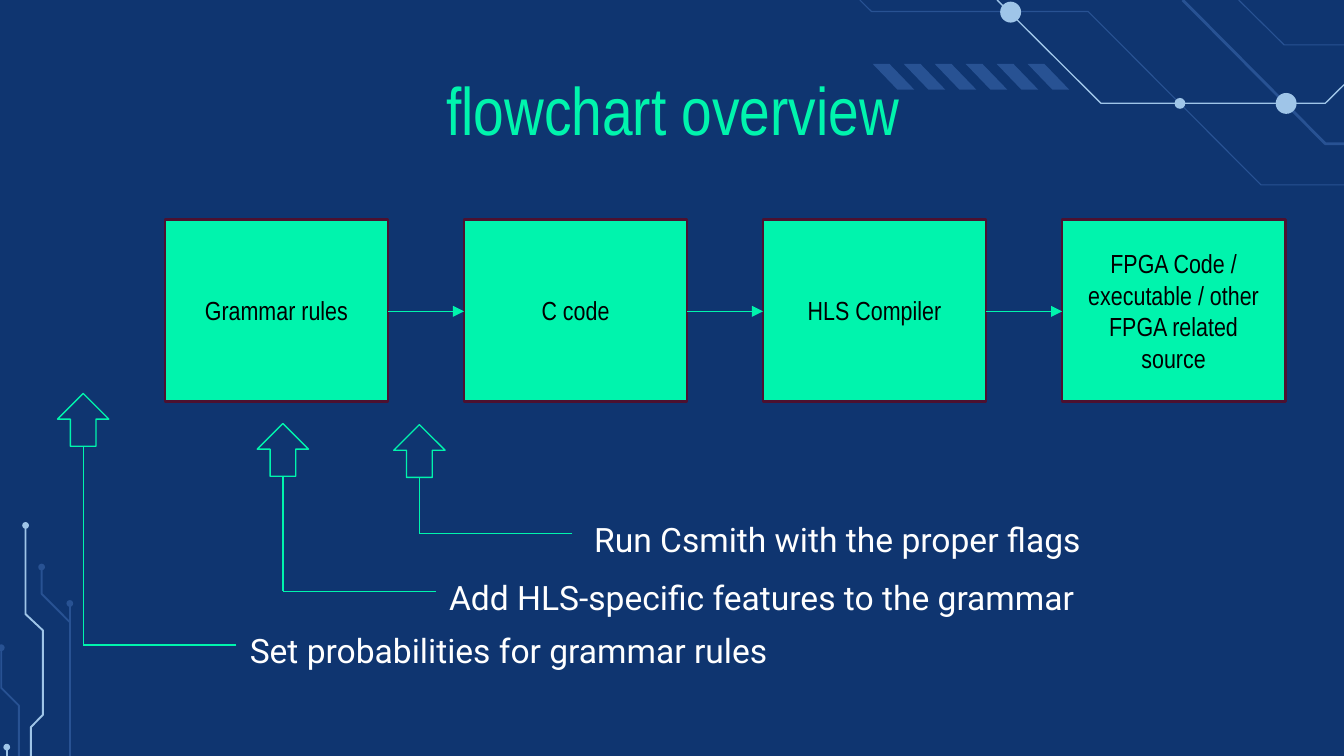
from lxml import etree
from pptx import Presentation
from pptx.dml.color import RGBColor
from pptx.enum.shapes import MSO_CONNECTOR, MSO_SHAPE
from pptx.enum.text import MSO_ANCHOR, MSO_AUTO_SIZE, PP_ALIGN
from pptx.oxml.ns import qn
from pptx.util import Pt

STRAIGHT = MSO_CONNECTOR.STRAIGHT
RECTANGLE, OVAL, UP_ARROW = MSO_SHAPE.RECTANGLE, MSO_SHAPE.OVAL, MSO_SHAPE.UP_ARROW
TOP, MIDDLE = MSO_ANCHOR.TOP, MSO_ANCHOR.MIDDLE
LEFT, CENTER = PP_ALIGN.LEFT, PP_ALIGN.CENTER
NO_AUTOFIT = MSO_AUTO_SIZE.NONE

COLORS = {
    "navy": "0F3570", "mint": "00F4AD", "wine": "4C1130", "black": "000000",
    "white": "FFFFFF", "sky": "9FC5E8", "steel": "285293",
}
HEADING_FONT, NOTE_FONT = "Arial Narrow", "Roboto"

TITLE = "flowchart overview"
STEPS = [
    "Grammar rules",
    "C code",
    "HLS Compiler",
    "FPGA Code / executable / other FPGA related source",
]
NOTES = [
    {"text": "Set probabilities for grammar rules", "arrow": (44.6, 210.8), "elbow": 345.6, "left": 126.7, "width": 329.8},
    {"text": "Add HLS-specific features to the grammar", "arrow": (151.6, 226.9), "elbow": 316.8, "left": 233.5, "width": 380.9},
    {"text": "Run Csmith with the proper flags", "arrow": (224.7, 227.5), "elbow": 285.8, "left": 311.2, "width": 380.9},
]
TRACES = [
    ("steel", 1.5, [(633.6, 0), (710, 77), (720, 77)]),
    ("sky", 0.7, [(534.2, 0), (589.8, 55.3), (710, 55.3), (720, 45.4)]),
    ("steel", 0.6, [(460.6, 0), (466.9, 6.2), (583, 6.2), (675.5, 99), (720, 99)]),
    ("steel", 0.6, [(663.6, 0), (688, 24.1), (720, 24.1)]),
    ("sky", 1.03, [(16.6, 405), (16.6, 389.5), (23, 383), (23, 337.7), (13.7, 329), (13.7, 281.5)]),
    ("steel", 1.03, [(37.4, 405), (37.4, 323.3)]),
    ("steel", 1.03, [(37.4, 333.4), (22.3, 318.2), (22.3, 303.8)]),
    ("steel", 1.03, [(10.1, 405), (10.1, 378), (0.7, 368.6), (0.7, 347)]),
    ("sky", 1.03, [(3.6, 405), (3.6, 400.3)]),
]
DOTS = [
    ("sky", 632.1, 55.4, 2.9), ("sky", 541.4, 6.5, 5.6), ("sky", 689, 55.4, 5.6),
    ("sky", 13.7, 281.5, 1.8), ("steel", 37.4, 323.3, 1.8), ("steel", 22.3, 303.8, 1.8),
    ("steel", 0.7, 347, 1.8), ("sky", 3.6, 400.3, 1.8),
]
STRIPE_COUNT, STRIPE_LEFT, STRIPE_STEP = 6, 467.5, 16.6
STRIPE_TOP, STRIPE_HEIGHT, STRIPE_WIDTH, STRIPE_SLANT = 34.2, 13.8, 9, 13.3

BOX_LEFT, BOX_TOP, BOX_WIDTH, BOX_HEIGHT, BOX_STEP = 88.4, 117.4, 119.5, 97.9, 160.2
FLOW_Y = 166.8
ARROW_WIDTH, ARROW_HEIGHT, ELBOW_RUN = 27.5, 28.3, 82
NOTE_HEIGHT, NOTE_RISE = 36, 18.3


def rgb(name):
    return RGBColor.from_string(COLORS[name])


def style(shape, fill=None, line=None, weight=0.75):
    shape.shadow.inherit = False
    if fill:
        shape.fill.solid()
        shape.fill.fore_color.rgb = rgb(fill)
    else:
        shape.fill.background()
    if line:
        shape.line.color.rgb = rgb(line)
        shape.line.width = Pt(weight)
    else:
        shape.line.fill.background()


def add_preset(slide, preset, left, top, width, height, **look):
    shape = slide.shapes.add_shape(preset, Pt(left), Pt(top), Pt(width), Pt(height))
    style(shape, **look)
    return shape


def add_outline(slide, points, closed=False, **look):
    start, *others = [(Pt(x), Pt(y)) for x, y in points]
    builder = slide.shapes.build_freeform(*start)
    builder.add_line_segments(others, close=closed)
    style(builder.convert_to_shape(), **look)


def add_line(slide, start, end, arrow=False):
    line = slide.shapes.add_connector(STRAIGHT, *[Pt(value) for value in start + end])
    line.line.color.rgb = rgb("mint")
    line.line.width = Pt(0.75)
    properties = line._element.spPr
    if arrow:
        etree.SubElement(properties.find(qn("a:ln")), qn("a:tailEnd"), type="triangle")
    etree.SubElement(properties, qn("a:effectLst"))


def write(shape, text, size=14, font=HEADING_FONT, color="black", align=CENTER,
          anchor=MIDDLE, inset=7.2, spacing=1.0):
    frame = shape.text_frame
    frame.word_wrap = True
    frame.auto_size = NO_AUTOFIT
    frame.vertical_anchor = anchor
    frame.margin_left = frame.margin_right = Pt(inset)
    frame.margin_top = frame.margin_bottom = Pt(inset)
    para = frame.paragraphs[0]
    para.alignment = align
    para.line_spacing = spacing
    span = para.add_run()
    span.text = text
    span.font.size = Pt(size)
    span.font.name = font
    span.font.color.rgb = rgb(color)


def draw_circuit(slide):
    for color, weight, points in TRACES:
        add_outline(slide, points, line=color, weight=weight)
    for color, x, y, radius in DOTS:
        add_preset(slide, OVAL, x - radius, y - radius, 2 * radius, 2 * radius, fill=color)
    bottom = STRIPE_TOP + STRIPE_HEIGHT
    for index in range(STRIPE_COUNT):
        left = STRIPE_LEFT + index * STRIPE_STEP
        right = left + STRIPE_WIDTH
        corners = [(left, STRIPE_TOP), (left + STRIPE_SLANT, bottom),
                   (right + STRIPE_SLANT, bottom), (right, STRIPE_TOP)]
        add_outline(slide, corners, closed=True, fill="steel")


def draw_title(slide):
    title = slide.shapes.title
    title.left, title.top, title.width, title.height = Pt(56.9), Pt(36.7), Pt(607), Pt(38.2)
    write(title, TITLE, size=36, color="mint", anchor=TOP, inset=0)


def draw_steps(slide):
    for index, text in enumerate(STEPS):
        left = BOX_LEFT + index * BOX_STEP
        box = add_preset(slide, RECTANGLE, left, BOX_TOP, BOX_WIDTH, BOX_HEIGHT,
                         fill="mint", line="wine", weight=1.5)
        write(box, text)
        if index:
            add_line(slide, (left - BOX_STEP + BOX_WIDTH, FLOW_Y), (left, FLOW_Y), arrow=True)


def draw_notes(slide):
    for note in NOTES:
        x, top = note["arrow"]
        elbow = note["elbow"]
        add_preset(slide, UP_ARROW, x - ARROW_WIDTH / 2, top, ARROW_WIDTH, ARROW_HEIGHT,
                   fill="navy", line="mint")
        add_line(slide, (x, top + ARROW_HEIGHT), (x, elbow))
        add_line(slide, (x + ELBOW_RUN, elbow), (x, elbow))
        box = slide.shapes.add_textbox(Pt(note["left"]), Pt(elbow - NOTE_RISE),
                                       Pt(note["width"]), Pt(NOTE_HEIGHT))
        write(box, note["text"], size=18, font=NOTE_FONT, color="white",
              align=LEFT, anchor=TOP, spacing=1.15)


def main():
    deck = Presentation()
    deck.slide_width, deck.slide_height = Pt(720), Pt(405)
    slide = deck.slides.add_slide(deck.slide_layouts[5])
    slide.background.fill.solid()
    slide.background.fill.fore_color.rgb = rgb("navy")
    draw_circuit(slide)
    draw_title(slide)
    draw_steps(slide)
    draw_notes(slide)
    deck.save("out.pptx")


if __name__ == "__main__":
    main()
